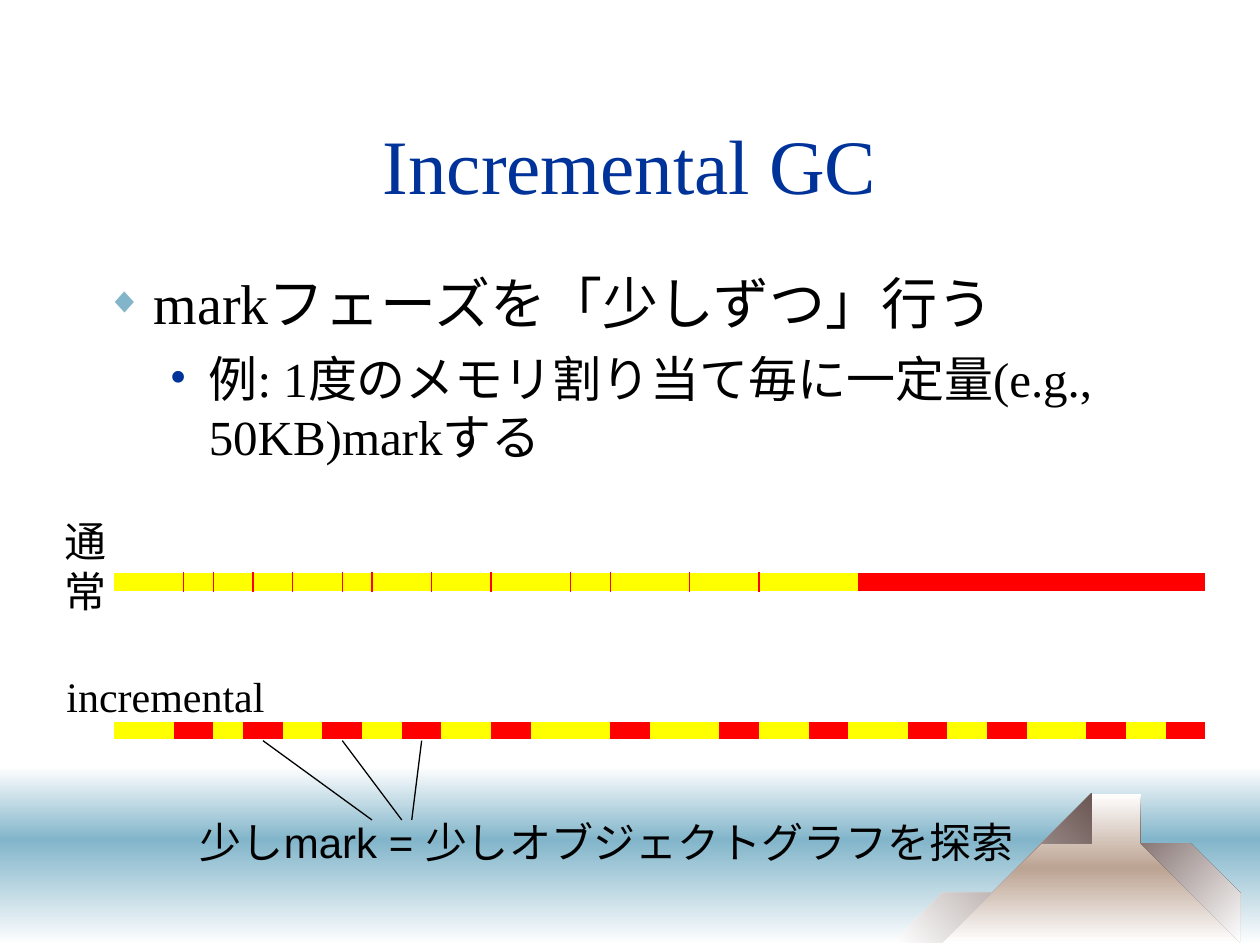
from copy import deepcopy

from lxml import etree
from pptx import Presentation
from pptx.dml.color import RGBColor
from pptx.enum.shapes import MSO_CONNECTOR as Connector, MSO_SHAPE as Shape
from pptx.enum.text import MSO_ANCHOR as Anchor, PP_ALIGN as Align
from pptx.oxml.ns import qn
from pptx.util import Cm, Pt

COLOURS = {
    "title": "003399", "text": "000000", "sky": "82B5CA", "white": "FFFFFF",
    "earth": "BCA392", "shade": "6B5653", "run": "FFFF00", "mark": "FF0000",
}
SERIF, SANS = "Times New Roman", "Arial"

# Lengths below are in centimetres
WIDTH, HEIGHT = 25.4, 19.05
BAR_START, BAR_END = 2.3, 24.3
NORMAL_Y, INCREMENTAL_Y = 11.73, 14.73
MARK_START, MARK_LENGTH, TICK = 17.3, 0.8, 0.2
ALLOCATIONS = [3.7, 4.3, 5.1, 5.9, 6.9, 7.5, 8.7, 9.9, 11.5, 12.3, 13.9, 15.3]
MARK_STEPS = [3.5, 4.9, 6.5, 8.1, 9.9, 12.3, 14.5, 16.3, 18.3, 19.9, 21.9, 23.5]
CALLOUTS = [(5.3, 7.5), (6.9, 8.1), (8.5, 8.3)]

MOUNTAIN = [
    (18.06, 19.05), (20.07, 17.91), (21.34, 16.92), (22.07, 16.18), (22.23, 16.03),
    (22.35, 15.98), (22.5, 15.98), (22.63, 16.03), (22.94, 16.69), (23.42, 17.27),
    (24.59, 18.08), (25.4, 18.62), (25.4, 19.05),
]
RIGHT_RIDGE = [
    (23.24, 17.2), (23.65, 17.58), (24.08, 17.91), (24.41, 18.16), (25.15, 18.62),
    (25.4, 18.77), (25.4, 18.47), (25.25, 18.42), (24.87, 18.14), (24.64, 18.01),
    (23.6, 17.27), (23.16, 16.87), (22.96, 16.61), (22.78, 16.36), (22.66, 16.05),
    (22.76, 16.36), (22.89, 16.64), (23.04, 16.89),
]
LEFT_RIDGE = [
    (21.13, 16.97), (20.29, 17.58), (20.12, 17.65), (19.86, 17.83), (19.08, 18.26),
    (18.67, 18.36), (18.29, 18.52), (18.08, 18.59), (18.01, 18.67), (17.98, 18.72),
    (18.03, 18.77), (18.29, 18.82), (18.77, 18.72), (19.05, 18.62), (19.53, 18.39),
    (19.94, 18.14), (21.01, 17.3), (21.62, 16.74), (21.95, 16.33), (22.05, 16.21),
    (21.74, 16.48),
]


def colour(name):
    return RGBColor.from_string(COLOURS[name])


class Painter:
    """Holds the style and the current slide."""

    def __init__(self, page):
        self.page = page
        self.shapes = page.shapes

    def style(self, para, size, font, shade="text"):
        para.font.size = Pt(size)
        para.font.name = font
        para.font.color.rgb = colour(shade)

    def gradient(self, shape, names, angle):
        shape.shadow.inherit = False
        shape.line.fill.background()
        fill = shape.fill
        fill.gradient()
        fill.gradient_angle = -angle % 360
        stops = shape._element.spPr.find(qn("a:gradFill")).find(qn("a:gsLst"))
        for _ in names[2:]:
            stops.insert(1, deepcopy(stops[0]))
        for index, (stop, name) in enumerate(zip(fill.gradient_stops, names)):
            stop.position = index / (len(names) - 1)
            stop.color.rgb = colour(name)

    def band(self, top, height, names):
        band = self.shapes.add_shape(Shape.RECTANGLE, 0, Cm(top), Cm(WIDTH), Cm(height))
        self.gradient(band, names, 90)

    def outline(self, points, names, angle):
        builder = self.shapes.build_freeform(*points[0], scale=Cm(1))
        builder.add_line_segments(points[1:], close=True)
        self.gradient(builder.convert_to_shape(), names, angle)

    def title(self, text, left, top, width, height):
        box = self.shapes.title
        box.left, box.top, box.width, box.height = map(Cm, (left, top, width, height))
        frame = box.text_frame
        frame.text = text
        frame.vertical_anchor = Anchor.MIDDLE
        para = frame.paragraphs[0]
        para.alignment = Align.CENTER
        self.style(para, 44, SERIF, "title")

    def text(self, text, left, top, width, height, size=24, font=SANS, wrap=False):
        box = self.shapes.add_textbox(Cm(left), Cm(top), Cm(width), Cm(height))
        frame = box.text_frame
        frame.word_wrap = wrap
        para = frame.paragraphs[0]
        para.text = text
        self.style(para, size, font)
        return frame

    def bullet(self, para, symbol, shade, percent, left, hanging):
        props = para._p.get_or_add_pPr()
        props.set("marL", str(Cm(left)))
        props.set("indent", str(-Cm(hanging)))
        tint = etree.SubElement(props, qn("a:buClr"))
        etree.SubElement(tint, qn("a:srgbClr"), val=COLOURS[shade])
        etree.SubElement(props, qn("a:buSzPct"), val=str(percent * 1000))
        etree.SubElement(props, qn("a:buFont"), typeface=SERIF)
        etree.SubElement(props, qn("a:buChar"), char=symbol)

    def bullets(self, items, left, top, width, height):
        box = self.shapes.add_textbox(Cm(left), Cm(top), Cm(width), Cm(height))
        frame = box.text_frame
        frame.word_wrap = True
        for index, (text, size, before, mark) in enumerate(items):
            para = frame.add_paragraph() if index else frame.paragraphs[0]
            para.text = text
            self.bullet(para, *mark)
            para.level = index
            para.space_before = Pt(before)
            self.style(para, size, SERIF)

    def line(self, x1, y1, x2, y2, shade, weight=0.75):
        line = self.shapes.add_connector(
            Connector.STRAIGHT, Cm(x1), Cm(y1), Cm(x2), Cm(y2))
        line.line.color.rgb = colour(shade)
        line.line.width = Pt(weight)
        etree.SubElement(line._element.spPr, qn("a:effectLst"))

    def bar(self, start, end, y, shade):
        self.line(start, y, end, y, shade, 10)


def main():
    deck = Presentation()
    deck.slide_width, deck.slide_height = Cm(WIDTH), Cm(HEIGHT)
    painter = Painter(deck.slides.add_slide(deck.slide_layouts[5]))

    # Scenery
    painter.band(15.45, 1.48, ["white", "sky"])
    painter.band(16.93, 2.12, ["sky", "white"])
    painter.outline(MOUNTAIN, ["white", "earth", "white"], 90)
    painter.outline(RIGHT_RIDGE, ["shade", "white"], 45)
    painter.outline(LEFT_RIDGE, ["white", "shade"], 315)

    # Title and bullets
    painter.title("Incremental GC", 1.9, 1.7, 21.6, 3.18)
    painter.bullets([
        ("markフェーズを「少しずつ」行う", 32, 0, ("◆", "sky", 65, 0.95, 0.95)),
        ("例: 1度のメモリ割り当て毎に一定量(e.g., 50KB)markする", 28, 7,
         ("•", "title", 100, 2.06, 0.79)),
    ], 1.9, 5.29, 21.6, 11.43)

    # Normal collection: allocations, then one long mark
    painter.bar(BAR_START, MARK_START, NORMAL_Y, "run")
    for x in ALLOCATIONS:
        painter.line(x, NORMAL_Y - TICK, x, NORMAL_Y + TICK, "mark")
    painter.bar(MARK_START, BAR_END, NORMAL_Y, "mark")
    painter.text("通常", 1.05, 10.26, 2.18, 1.27)

    # Incremental collection: many short marks
    painter.bar(BAR_START, BAR_END, INCREMENTAL_Y, "run")
    for x in MARK_STEPS:
        painter.bar(x, x + MARK_LENGTH, INCREMENTAL_Y, "mark")
    painter.text("incremental", 1.09, 13.39, 4.5, 1.27, font=SERIF)

    # Explanation of the short marks
    for start, end in CALLOUTS:
        painter.line(start, INCREMENTAL_Y + TICK, end, 16.53, "text")
    painter.text("少しmark = 少しオブジェクトグラフを探索", 3.78, 16.33, 17.3, 1.27)

    deck.save("out.pptx")


if __name__ == "__main__":
    main()
